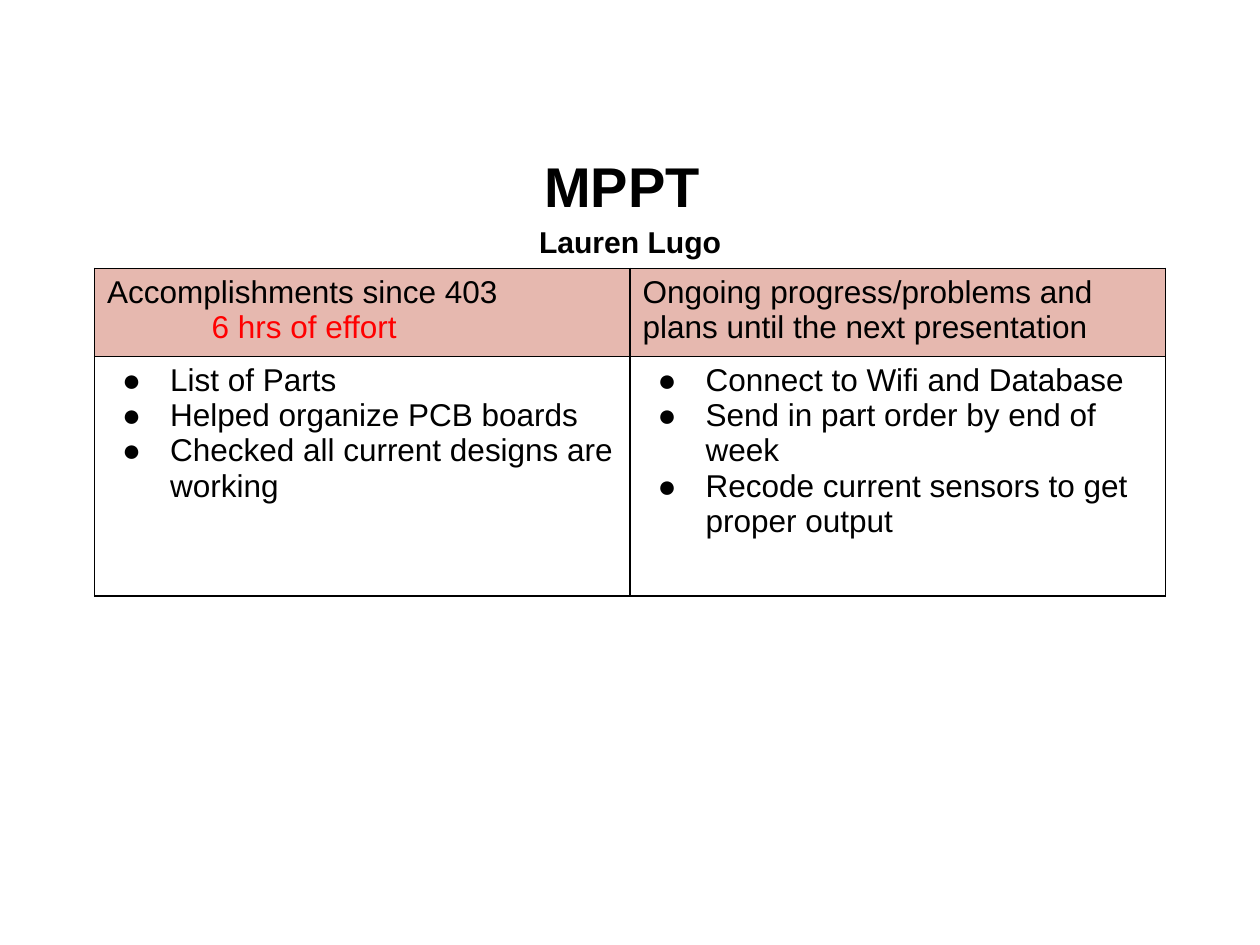
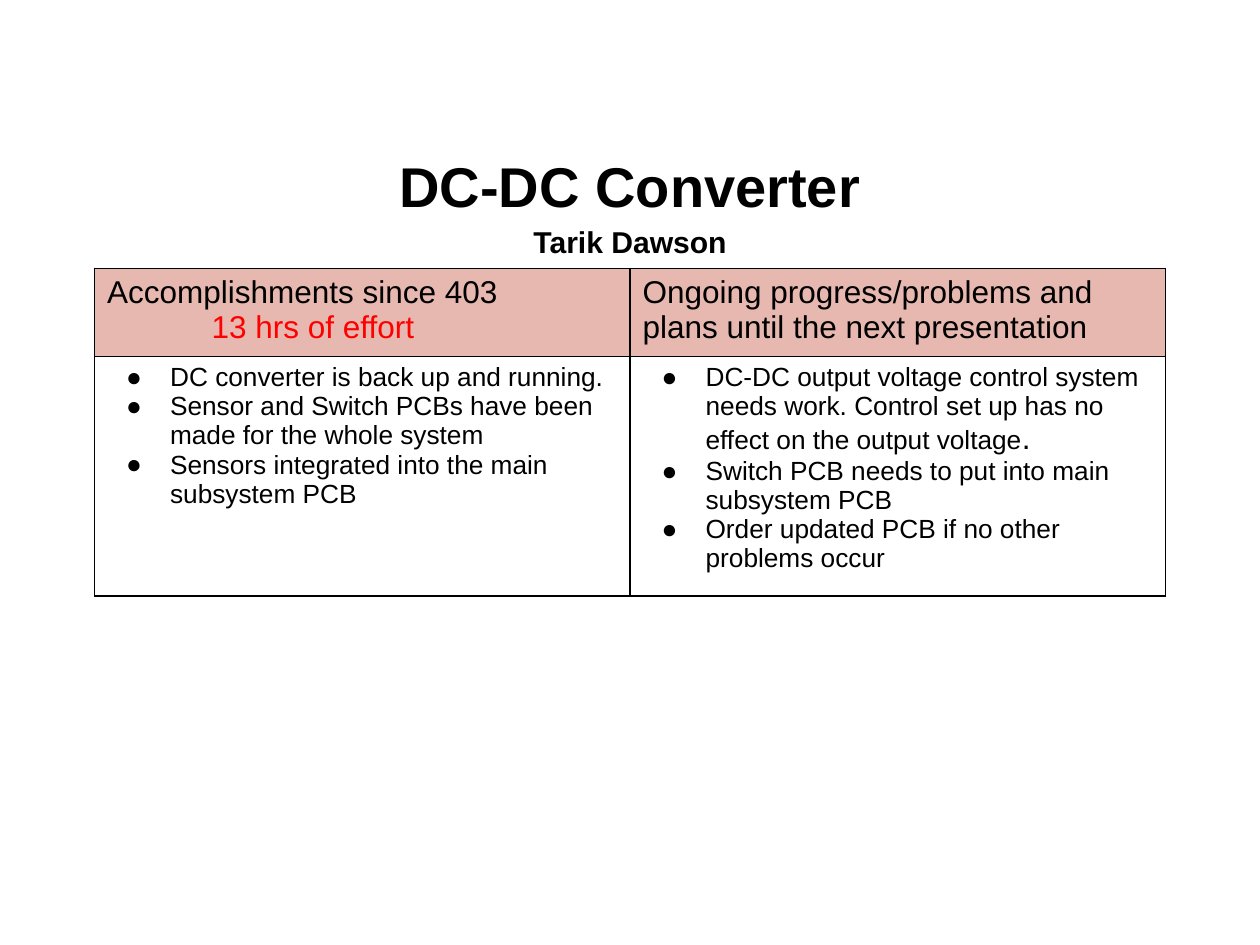
import pptx
import pptx.util
import pptx.dml.color
import pptx.enum.text
import pptx.oxml.ns
from lxml import etree
from dataclasses import dataclass

Inches = pptx.util.Inches
Pt = pptx.util.Pt
qn = pptx.oxml.ns.qn


@dataclass(frozen=True)
class Theme:
    font: str = "Arial"
    ink: str = "000000"
    paper: str = "FFFFFF"
    band: str = "E6B8AF"
    alert: str = "FF0000"
    title: float = 32
    name: float = 17.2
    body: float = 18
    small: float = 15
    rule: float = 1


THEME = Theme()
PLANS = "Ongoing progress/problems and plans until the next presentation"


# Text and cell helpers
def style(run, size, color=THEME.ink, bold=False):
    font = run.font
    font.name, font.size, font.bold = THEME.font, Pt(size), bold
    font.color.rgb = pptx.dml.color.RGBColor.from_string(color)


def tint(parent, color):
    """Add a solid colour element."""
    etree.SubElement(parent, qn("a:srgbClr"), val=color)


def bullet(para, hang):
    props = para._p.get_or_add_pPr()
    props.set("marL", str(Inches(0.5)))
    props.set("indent", str(-Inches(hang)))
    tint(etree.SubElement(props, qn("a:buClr")), THEME.ink)
    etree.SubElement(props, qn("a:buFont"), typeface=THEME.font)
    etree.SubElement(props, qn("a:buChar"), char="●")


def frame(cell, color):
    """Give a cell its borders and then its fill."""
    props = cell._tc.get_or_add_tcPr()
    for side in ("lnL", "lnR", "lnT", "lnB"):
        line = etree.SubElement(props, qn("a:" + side), w=str(Pt(THEME.rule)))
        tint(etree.SubElement(line, qn("a:solidFill")), THEME.ink)
    cell.fill.solid()
    cell.fill.fore_color.rgb = pptx.dml.color.RGBColor.from_string(color)


# Parts of a status slide
def add_title(slide, topic, name):
    title = slide.shapes.title
    title.left, title.top = Inches(0.5), Inches(1.15)
    title.width, title.height = Inches(9), Inches(0.88)
    text = title.text_frame
    text.text = topic + "\n" + name
    text.auto_size = pptx.enum.text.MSO_AUTO_SIZE.NONE
    text.vertical_anchor = pptx.enum.text.MSO_ANCHOR.MIDDLE
    for para, size in zip(text.paragraphs, (THEME.title, THEME.name)):
        para.alignment = pptx.enum.text.PP_ALIGN.CENTER
        para.line_spacing = 1.15
        style(para.runs[0], size, bold=True)


def add_table(slide):
    table = slide.shapes.add_table(
        2, 2, Inches(0.75), Inches(2.13), Inches(8.5), Inches(2.6)).table
    table.first_row = table.horz_banding = False
    for row, height, color in zip(
            table.rows, (0.7, 1.9), (THEME.band, THEME.paper)):
        row.height = Inches(height)
        for cell in row.cells:
            frame(cell, color)
    return table


def fill_heads(table, hours):
    done, plans = table.rows[0].cells
    done.text = f"Accomplishments since 403\n{hours} hrs of effort"
    plans.text = PLANS
    first, effort = done.text_frame.paragraphs
    effort._p.get_or_add_pPr().set("marL", str(Inches(0.83)))
    style(first.runs[0], THEME.body)
    style(effort.runs[0], THEME.body, THEME.alert)
    style(plans.text_frame.paragraphs[0].runs[0], THEME.body)


def fill_list(cell, items, size, hang):
    """Write bullets; text after a bar is set in the full body size."""
    text = cell.text_frame
    for index, item in enumerate(items):
        para = text.add_paragraph() if index else text.paragraphs[0]
        main_text, _, tail = item.partition("|")
        para.text = main_text
        bullet(para, hang)
        style(para.runs[0], size)
        if tail:
            run = para.add_run()
            run.text = tail
            style(run, THEME.body)


def add_status(deck, topic, name, hours, done, plans, size, hang):
    slide = deck.slides.add_slide(deck.slide_layouts[5])
    add_title(slide, topic, name)
    table = add_table(slide)
    fill_heads(table, hours)
    for cell, items in zip(table.rows[1].cells, (done, plans)):
        fill_list(cell, items, size, hang)


def main():
    deck = pptx.Presentation()
    deck.slide_width, deck.slide_height = Inches(10), Inches(7.5)

    # Power tracking
    add_status(
        deck, "MPPT ", "Lauren Lugo", 6,
        ["List of Parts",
         "Helped organize PCB boards",
         "Checked all current designs are working"],
        ["Connect to Wifi and Database",
         "Send in part order by end of week",
         "Recode current sensors to get proper output"],
        THEME.body, 0.38)

    # Converter
    add_status(
        deck, "DC-DC Converter", "Tarik Dawson", 13,
        ["DC converter is back up and running.",
         "Sensor and Switch PCBs have been made for the whole system",
         "Sensors integrated into the main subsystem PCB"],
        ["DC-DC output voltage control system needs work. "
         "Control set up has no effect on the output voltage|.",
         "Switch PCB needs to put into main subsystem PCB",
         "Order updated PCB if no other problems occur"],
        THEME.small, 0.35)

    deck.save("out.pptx")


if __name__ == "__main__":
    main()
